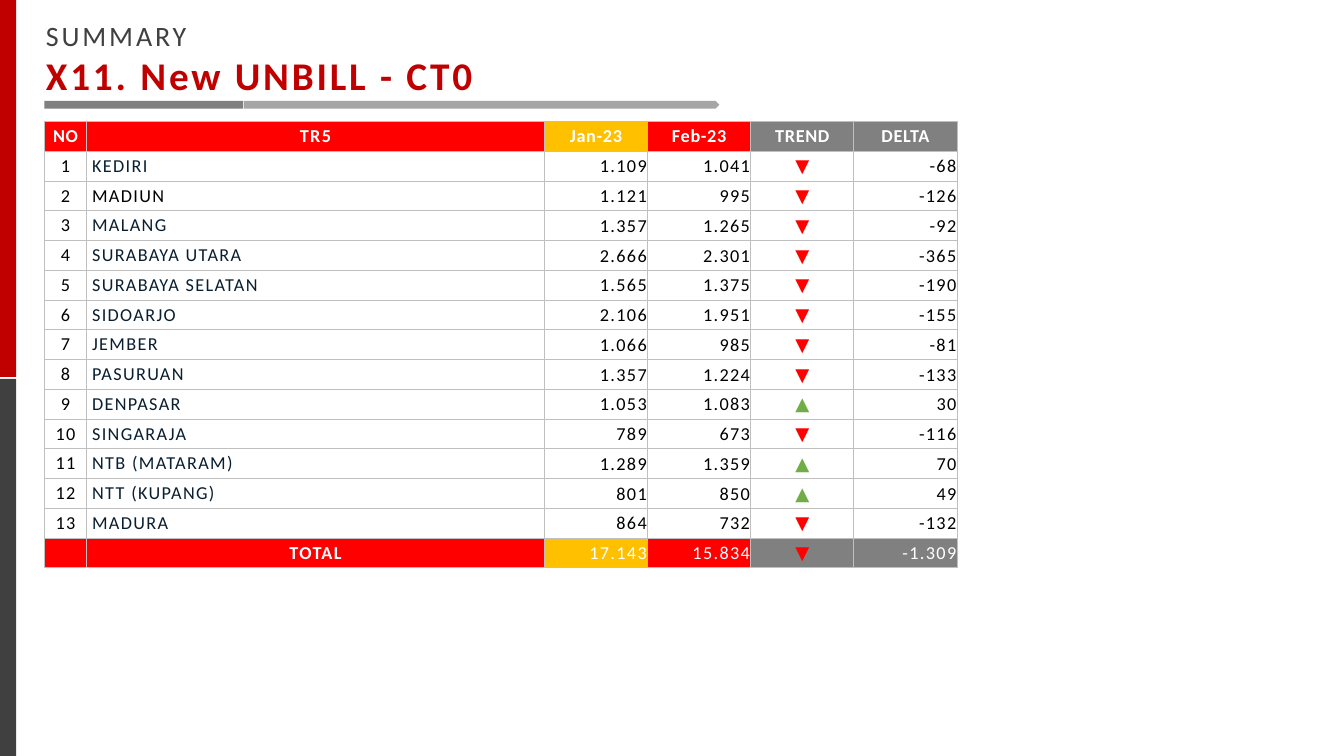
import pptx
import pptx.dml.color
import pptx.enum.shapes
import pptx.enum.text
import pptx.oxml
import pptx.oxml.ns
import pptx.util

Cm = pptx.util.Cm
Pt = pptx.util.Pt
ALIGN = pptx.enum.text.PP_ALIGN
MIDDLE = pptx.enum.text.MSO_ANCHOR.MIDDLE
SHAPES = pptx.enum.shapes.MSO_SHAPE

# Content
HEADINGS = [("SUMMARY", "heading", "dark", False),
            ("X11. New UNBILL - CT0", "title", "brand", True)]
HEADER = ["NO", "TR5", "Jan-23", "Feb-23", "TREND", "DELTA"]
REGIONS = [
    ("KEDIRI", 1109, 1041), ("MADIUN", 1121, 995), ("MALANG", 1357, 1265),
    ("SURABAYA UTARA", 2666, 2301), ("SURABAYA SELATAN", 1565, 1375),
    ("SIDOARJO", 2106, 1951), ("JEMBER", 1066, 985), ("PASURUAN", 1357, 1224),
    ("DENPASAR", 1053, 1083), ("SINGARAJA", 789, 673),
    ("NTB (MATARAM)", 1289, 1359), ("NTT (KUPANG)", 801, 850),
    ("MADURA", 864, 732),
]
BLACK_NAMES = {"MADIUN"}

THEME = {
    "font": "Calibri",
    "size": {"heading": 20, "title": 28, "table": 13},
    "color": {"brand": "C00000", "dark": "404040", "bar": "808080",
              "bar light": "A6A6A6", "red": "FF0000", "amber": "FFC000",
              "green": "70AD47", "name": "091F30", "black": "000000",
              "white": "FFFFFF", "border": "BFBFBF"},
}

# Layout in centimetres: left, top, width, height
BARS = [
    (SHAPES.RECTANGLE, "dark", (0, 9.55, 0.41, 9.5)),
    (SHAPES.RECTANGLE, "brand", (0, 0, 0.41, 9.5)),
    (SHAPES.PENTAGON, "bar light", (6.15, 2.54, 11.98, 0.2)),
    (SHAPES.RECTANGLE, "bar", (1.12, 2.54, 5.01, 0.2)),
]
HEADING_BOX = (0.91, 0.33, 11.48, 2.31)
TABLE_LEFT, TABLE_TOP, ROW_HEIGHT = 1.12, 3.06, 0.75
COLUMN_WIDTHS = [1.06, 11.54] + [2.6] * 4
COLUMN_FILLS = ["red", "red", "amber", "red", "bar", "bar"]
BODY_ALIGN = [ALIGN.CENTER, ALIGN.LEFT, ALIGN.RIGHT, ALIGN.RIGHT,
              ALIGN.CENTER, ALIGN.RIGHT]
NAME_INDENT, NUMBER_INSET = 0.14, 0.02


def color(name):
    return pptx.dml.color.RGBColor.from_string(THEME["color"][name])


def box(lengths):
    return [Cm(length) for length in lengths]


def set_attributes(target, values):
    for name, value in values.items():
        setattr(target, name, value)


def add_text(paragraph, text, size, color_name, bold, spacing):
    run = paragraph.add_run()
    run.text = text
    set_attributes(run.font, {"name": THEME["font"], "bold": bold,
                              "size": Pt(THEME["size"][size])})
    run.font.color.rgb = color(color_name)
    run.font._element.set("spc", str(int(spacing * 100)))


def add_borders(cell):
    properties = cell._tc.get_or_add_tcPr()
    for position, side in enumerate(("lnL", "lnR", "lnT", "lnB")):
        properties.insert(position, pptx.oxml.parse_xml(
            f'<a:{side} {pptx.oxml.ns.nsdecls("a")} w="9525"><a:solidFill>'
            f'<a:srgbClr val="{THEME["color"]["border"]}"/>'
            f'</a:solidFill></a:{side}>'))


def number(value):
    return f"{value:,}".replace(",", ".")


def table_row(label, name, january, february):
    delta = february - january
    trend = "\u25b2" if delta > 0 else "\u25bc"
    return [label, name, number(january), number(february), trend, number(delta)]


def cell_color(row, column, text):
    if text == "\u25b2":
        return "green"
    if text == "\u25bc":
        return "red"
    if row in (0, last_row):
        return "white"
    return "name" if column == 1 and text not in BLACK_NAMES else "black"


presentation = pptx.Presentation()
set_attributes(presentation, {"slide_width": Cm(33.87), "slide_height": Cm(19.05)})
slide = presentation.slides.add_slide(presentation.slide_layouts[6])

# Side bars and title underline
for preset, fill, lengths in BARS:
    shape = slide.shapes.add_shape(preset, *box(lengths))
    shape.shadow.inherit = False
    shape.fill.solid()
    shape.fill.fore_color.rgb = color(fill)
    shape.line.fill.background()

# Headings
frame = slide.shapes.add_textbox(*box(HEADING_BOX)).text_frame
set_attributes(frame, {"word_wrap": False,
                       "auto_size": pptx.enum.text.MSO_AUTO_SIZE.SHAPE_TO_FIT_TEXT})
for index, (text, size, color_name, bold) in enumerate(HEADINGS):
    paragraph = frame.add_paragraph() if index else frame.paragraphs[0]
    add_text(paragraph, text, size, color_name, bold, 2)

# Table rows, with totals worked out from the regions
rows = [HEADER]
rows += [table_row(str(index), *region) for index, region in enumerate(REGIONS, 1)]
rows.append(table_row("", "TOTAL", *(sum(region[month] for region in REGIONS)
                                     for month in (1, 2))))
last_row = len(rows) - 1

table = slide.shapes.add_table(
    len(rows), len(HEADER),
    *box((TABLE_LEFT, TABLE_TOP, sum(COLUMN_WIDTHS), ROW_HEIGHT * len(rows)))).table
set_attributes(table, {"first_row": False, "horz_banding": False})
for column, width in zip(table.columns, COLUMN_WIDTHS):
    column.width = Cm(width)

# Table cells
for row, texts in enumerate(rows):
    table.rows[row].height = Cm(ROW_HEIGHT)
    header, total = row == 0, row == last_row
    for column, text in enumerate(texts):
        cell = table.cell(row, column)
        inset = NUMBER_INSET if column > 3 or (column > 1 and not header) else 0
        centered = header or (total and column == 1)
        indent = NAME_INDENT if column == 1 and not centered else inset
        set_attributes(cell, {"vertical_anchor": MIDDLE, "margin_left": Cm(indent),
                              "margin_right": Cm(inset), "margin_top": Cm(inset),
                              "margin_bottom": 0})
        if header or total:
            cell.fill.solid()
            cell.fill.fore_color.rgb = color(COLUMN_FILLS[column])
        else:
            cell.fill.background()
        add_borders(cell)
        paragraph = cell.text_frame.paragraphs[0]
        paragraph.alignment = ALIGN.CENTER if centered else BODY_ALIGN[column]
        if text:
            add_text(paragraph, text, "table", cell_color(row, column, text),
                     centered, 0.5 if header and column != 1 else 1)
        else:
            ending = paragraph._p.get_or_add_endParaRPr()
            ending.set("sz", str(THEME["size"]["table"] * 100))

presentation.save("out.pptx")
